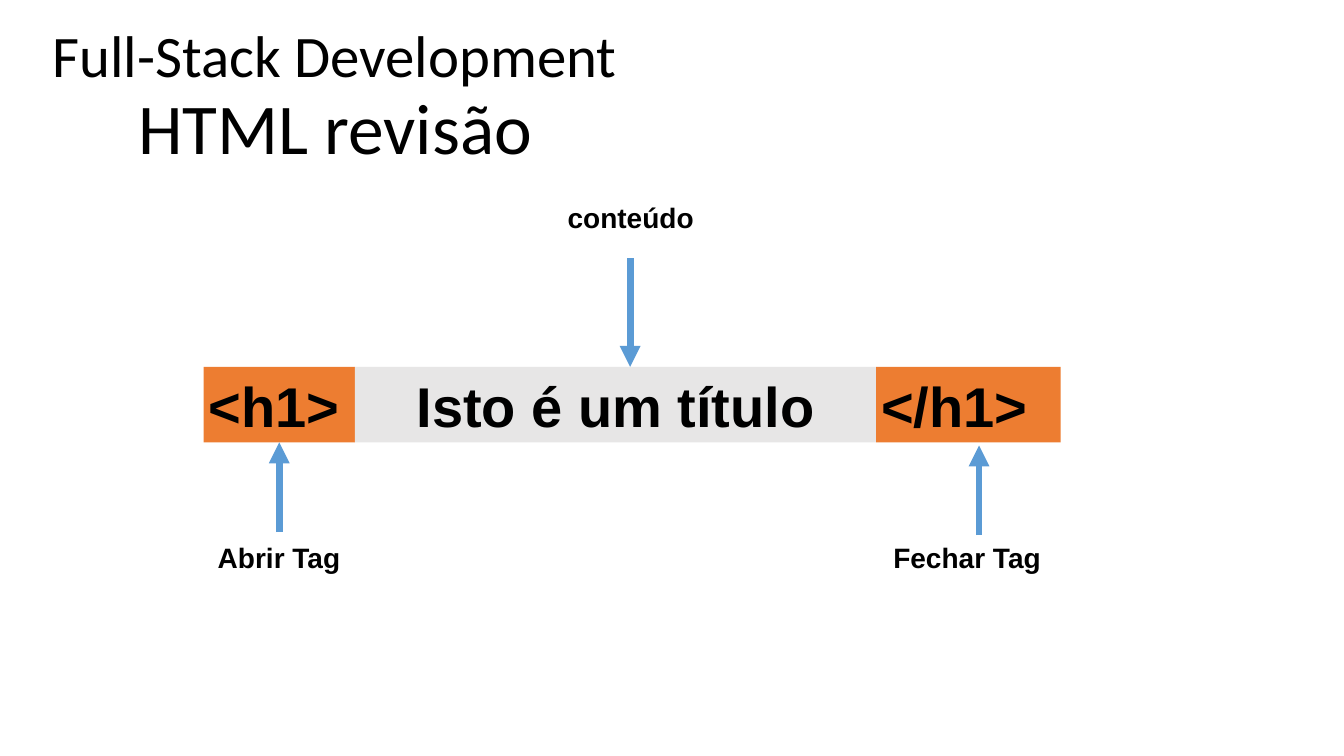
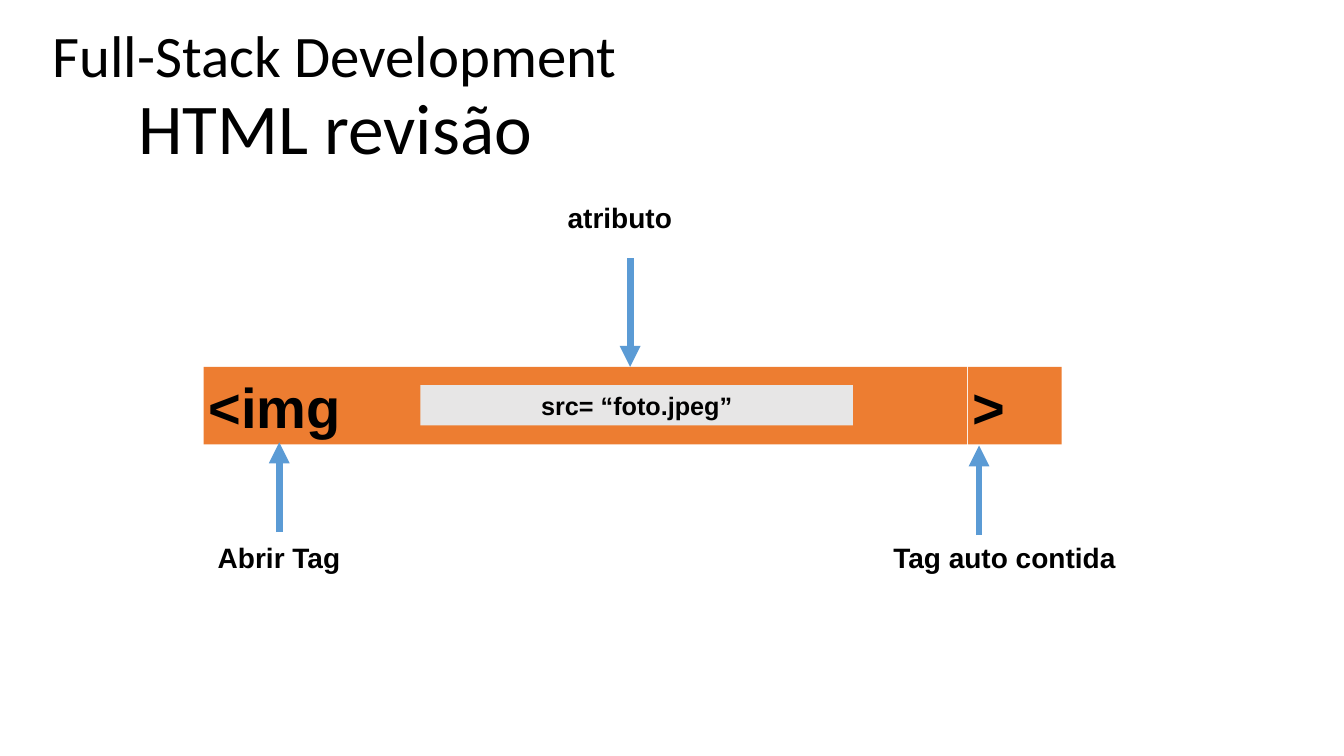
from dataclasses import dataclass

from lxml import etree
from pptx import Presentation, util as u
from pptx.dml.color import RGBColor
from pptx.enum import shapes, text
from pptx.oxml import ns


@dataclass(frozen=True)
class Theme:
    """Colours, fonts and type sizes of the deck."""
    ink: str = "000000"
    tag: str = "ED7D31"
    body: str = "E7E6E6"
    arrow: str = "5B9BD5"
    head: str = "Calibri"
    font: str = "Arial"
    title: int = 42
    topic: int = 51
    code: int = 40
    label: int = 20
    attr: int = 18
    line: int = 5


@dataclass(frozen=True)
class Grid:
    """Region of the slide split into equal columns and rows."""
    left: float
    top: float
    width: float
    height: float
    cols: int
    rows: int

    def spot(self, col, row):
        """Return the slide position of a grid point."""
        return (u.Inches(self.left + col * self.width / self.cols),
                u.Inches(self.top + row * self.height / self.rows))

    def area(self, col, row, wide, high):
        """Return left, top, width and height of a block of cells."""
        x, y = self.spot(col, row)
        right, low = self.spot(col + wide, row + high)
        return x, y, right - x, low - y


T = Theme()
HEAD = Grid(0.33, 0.2, 6, 1.5, 60, 15)
CHART = Grid(2.02, 1.94, 8.5, 3.8, 85, 38)
LEFT, MID = text.PP_ALIGN.LEFT, text.PP_ALIGN.CENTER
ARROWS = [((7.5, 33.4), (7.5, 24.5)),
          ((76.9, 33.7), (76.9, 24.8)),
          ((42.3, 6.2), (42.3, 17))]
LABELS = [(0.9, 33.7), (67.9, 33.7), (35.6, 0)]
SLIDES = [
    (("Abrir Tag", "Fechar Tag", "conteúdo"),
     [("<h1>", (0, 17, 15, 7.5), T.tag, T.code, LEFT),
      ("Isto é um título", (15, 17, 51.7, 7.5), T.body, T.code, MID),
      ("</h1>", (66.7, 17, 18.3, 7.5), T.tag, T.code, LEFT)]),
    (("Abrir Tag", "Tag auto contida", "atributo"),
     [("<img", (0, 17, 75.7, 7.7), T.tag, T.code, LEFT),
      (">", (75.8, 17, 9.3, 7.7), T.tag, T.code, LEFT),
      ("src= “foto.jpeg”", (21.5, 18.8, 42.9, 4), T.body, T.attr, MID)]),
]


def write(shape, words, font, size, align, bold=False):
    """Put one styled paragraph in a shape."""
    frame = shape.text_frame
    frame.text = words
    frame.auto_size = text.MSO_AUTO_SIZE.NONE
    para = frame.paragraphs[0]
    para.alignment = align
    para.font.name, para.font.size, para.font.bold = font, u.Pt(size), bold
    para.font.color.rgb = RGBColor.from_string(T.ink)
    return frame


def inset(frame):
    """Give a frame narrow margins on every side."""
    frame.margin_left = frame.margin_right = u.Inches(0.05)
    frame.margin_top = frame.margin_bottom = u.Inches(0.05)


def header(slide, grid):
    """Place the course title and the topic."""
    rows = [("Full-Stack Development", T.title, (0, 0, 59.8, 7.2)),
            ("HTML revisão", T.topic, (6.7, 7.8, 46.5, 7.2))]
    for holder, (words, size, cells) in zip(slide.placeholders, rows):
        holder.left, holder.top, holder.width, holder.height = grid.area(*cells)
        frame = write(holder, words, T.head, size, MID)
        frame.vertical_anchor = text.MSO_ANCHOR.BOTTOM
        para = frame.paragraphs[0]
        para.line_spacing, para.space_before = 0.7, u.Pt(0)


def block(slide, grid, words, cells, fill, size, align):
    """Draw one filled piece of the code bar."""
    rect = slide.shapes.add_shape(shapes.MSO_SHAPE.RECTANGLE, *grid.area(*cells))
    rect.shadow.inherit = False
    rect.fill.solid()
    rect.fill.fore_color.rgb = RGBColor.from_string(fill)
    rect.line.fill.background()
    frame = write(rect, words, T.font, size, align, True)
    frame.vertical_anchor = text.MSO_ANCHOR.MIDDLE
    inset(frame)


def label(slide, grid, words, spot):
    """Name one part of the code bar."""
    box = slide.shapes.add_textbox(*grid.area(*spot, 25, 4.4))
    frame = write(box, words, T.font, T.label, LEFT, True)
    frame.word_wrap = True
    inset(frame)


def arrow(slide, grid, start, end):
    """Point from a label to the code bar."""
    line = slide.shapes.add_connector(
        shapes.MSO_CONNECTOR.STRAIGHT, *grid.spot(*start), *grid.spot(*end))
    line.line.width = u.Pt(T.line)
    line.line.color.rgb = RGBColor.from_string(T.arrow)
    props = line.element.spPr
    etree.SubElement(props.find(ns.qn("a:ln")), ns.qn("a:tailEnd"), type="triangle")
    etree.SubElement(props, ns.qn("a:effectLst"))


def diagram(slide, grid, names, blocks):
    """Draw the code bar with its labels and arrows."""
    for item in blocks:
        block(slide, grid, *item)
    for words, spot in zip(names, LABELS):
        label(slide, grid, words, spot)
    for start, end in ARROWS:
        arrow(slide, grid, start, end)


def main():
    """Build and save the deck."""
    deck = Presentation()
    deck.slide_width, deck.slide_height = u.Inches(13.33), u.Inches(7.5)
    for names, blocks in SLIDES:
        slide = deck.slides.add_slide(deck.slide_layouts[0])
        header(slide, HEAD)
        diagram(slide, CHART, names, blocks)
    deck.save("out.pptx")


if __name__ == "__main__":
    main()
